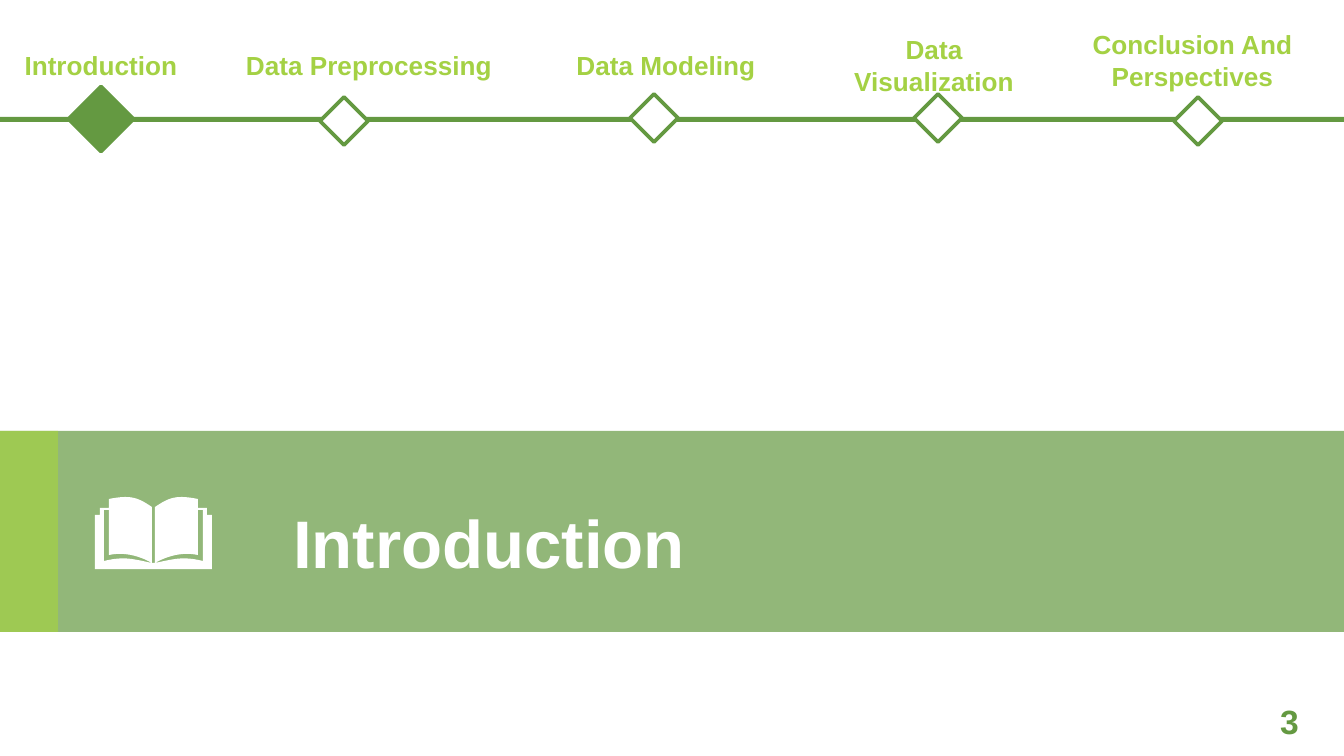
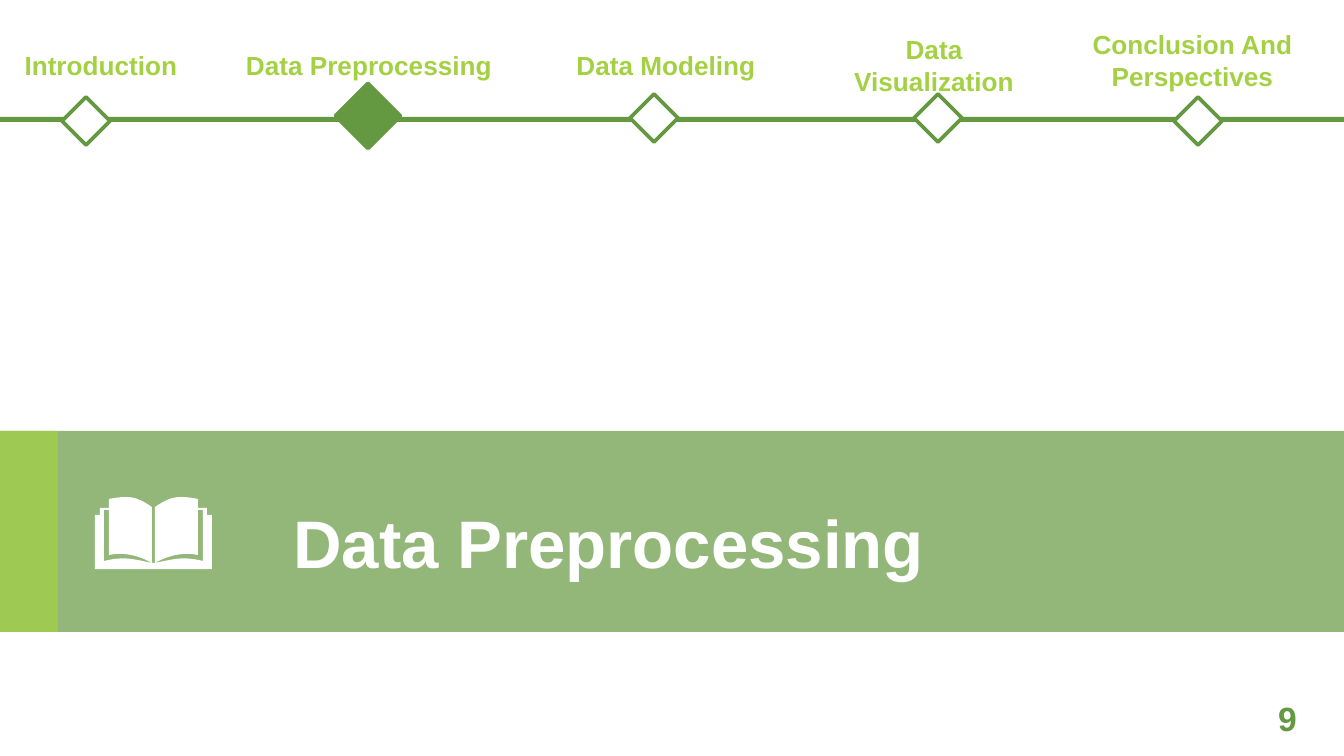
from pptx import Presentation
from pptx.dml.color import RGBColor
from pptx.enum.shapes import MSO_SHAPE
from pptx.enum.text import MSO_ANCHOR, PP_ALIGN
from pptx.oxml.ns import qn
from pptx.oxml.xmlchemy import OxmlElement
from pptx.util import Pt

PX = 914400 / 134.4
PAGE_WIDTH, PAGE_HEIGHT = 1344, 756
COLORS = {"green": "649941", "lime": "A4D144", "white": "FFFFFF"}
FONT = "Arial"
RECTANGLE, DIAMOND = MSO_SHAPE.RECTANGLE, MSO_SHAPE.DIAMOND
TOP, MIDDLE = MSO_ANCHOR.TOP, MSO_ANCHOR.MIDDLE
LEFT, CENTER = PP_ALIGN.LEFT, PP_ALIGN.CENTER

BAND_TOP, BAND_HEIGHT = 431, 201
MARKER_SIZE, ACTIVE_SIZE = 48, 65
# Label, its box (left, top, width, height) and the centre of its marker
STOPS = [
    ("Introduction", (-55, 42, 312, 46), (86, 121)),
    ("Data Preprocessing", (179, 42, 380, 46), (344, 121)),
    ("Data Modeling", (529, 42, 274, 46), (654, 118)),
    ("Data Visualization", (809, 42, 250, 46), (938, 118)),
    ("Conclusion And Perspectives", (1060, 22, 265, 76), (1198, 121)),
]
# Active stop, centre of its marker, page number and the number's corner
SECTIONS = [
    (0, (101, 119), "3", (1267, 694)),
    (1, (368, 116), "9", (1265, 691)),
]


def emu(length):
    return round(length * PX)


def curve(start, first, second, end, steps=12):
    """Points of a cubic Bezier curve, without its start."""
    points = []
    for step in range(1, steps + 1):
        t = step / steps
        weights = ((1 - t) ** 3, 3 * t * (1 - t) ** 2, 3 * t * t * (1 - t), t ** 3)
        points.append(tuple(
            sum(weight * value for weight, value in zip(weights, axis))
            for axis in zip(start, first, second, end)
        ))
    return points


def book_outline(spine=307):
    """Right half of an open book, then its mirror; spine is twice the axis."""
    half = [(155, 563)]
    half += curve((155, 563), (174, 559), (183, 556), (203, 561))
    half += [(203, 510), (198, 510), (198, 555)]
    half += curve((198, 555), (184, 552), (169, 555), (155, 563))
    half += [(155, 507)]
    half += curve((155, 507), (164, 501), (171, 497), (181, 497))
    half += curve((181, 497), (187, 497), (193, 498), (198, 499))
    half += [(198, 508), (207, 508), (207, 515), (212, 515), (212, 569)]
    return half + [(spine - x, y) for x, y in reversed(half)]


class SectionDeck:
    """Holds the deck, its style and the page being drawn."""

    def __init__(self):
        self.deck = Presentation()
        self.deck.slide_width = emu(PAGE_WIDTH)
        self.deck.slide_height = emu(PAGE_HEIGHT)
        self.page = None

    def add_page(self):
        self.page = self.deck.slides.add_slide(self.deck.slide_layouts[6])

    def paint(self, shape, fill, line=None, opacity=100):
        shape.shadow.inherit = False
        shape.fill.solid()
        shape.fill.fore_color.rgb = RGBColor.from_string(COLORS[fill])
        if opacity < 100:
            alpha = OxmlElement("a:alpha")
            alpha.set("val", str(opacity * 1000))
            shape.element.spPr.find(".//" + qn("a:srgbClr")).append(alpha)
        if line is None:
            shape.line.fill.background()
        else:
            shape.line.color.rgb = RGBColor.from_string(COLORS[line])
            shape.line.width = Pt(2)
            shape.element.spPr.find(qn("a:ln")).append(OxmlElement("a:round"))

    def bar(self, left, top, width, height, fill, opacity=100):
        box = self.page.shapes.add_shape(
            RECTANGLE, emu(left), emu(top), emu(width), emu(height))
        self.paint(box, fill, opacity=opacity)

    def marker(self, center, size, fill):
        left, top = (emu(value - size / 2) for value in center)
        diamond = self.page.shapes.add_shape(
            DIAMOND, left, top, emu(size), emu(size))
        self.paint(diamond, fill, line="green")

    def text(self, words, box, size, color, align=LEFT, anchor=MIDDLE, spacing=None):
        frame = self.page.shapes.add_textbox(*map(emu, box)).text_frame
        frame.word_wrap = True
        frame.vertical_anchor = anchor
        frame.text = words
        para = frame.paragraphs[0]
        para.alignment = align
        if spacing:
            para.line_spacing = spacing
        for span in para.runs:
            span.font.name = FONT
            span.font.size = Pt(size)
            span.font.bold = True
            span.font.color.rgb = RGBColor.from_string(COLORS[color])

    def outline(self, points, fill):
        start, *others = [(emu(x), emu(y)) for x, y in points]
        builder = self.page.shapes.build_freeform(*start)
        builder.add_line_segments(others, close=True)
        self.paint(builder.convert_to_shape(), fill)

    def title_band(self, title):
        self.bar(0, BAND_TOP, PAGE_WIDTH, BAND_HEIGHT, "green", opacity=70)
        self.bar(0, BAND_TOP, 58, BAND_HEIGHT, "lime", opacity=70)
        self.text(title, (280, 454, 942, 167), 36, "white", spacing=1.1)
        self.outline(book_outline(), "white")

    def timeline(self, active, active_center):
        self.bar(0, 117, PAGE_WIDTH, 5, "green")
        for index, (label, box, center) in enumerate(STOPS):
            self.text(label, box, 14, "lime", align=CENTER)
            if index == active:
                self.marker(active_center, ACTIVE_SIZE, "green")
            else:
                self.marker(center, MARKER_SIZE, "white")

    def page_number(self, number, corner):
        self.text(number, (*corner, 54, 54), 18, "green", anchor=TOP)


def main():
    sections = SectionDeck()
    for active, active_center, number, corner in SECTIONS:
        sections.add_page()
        sections.title_band(STOPS[active][0])
        sections.timeline(active, active_center)
        sections.page_number(number, corner)
    sections.deck.save("out.pptx")


if __name__ == "__main__":
    main()
